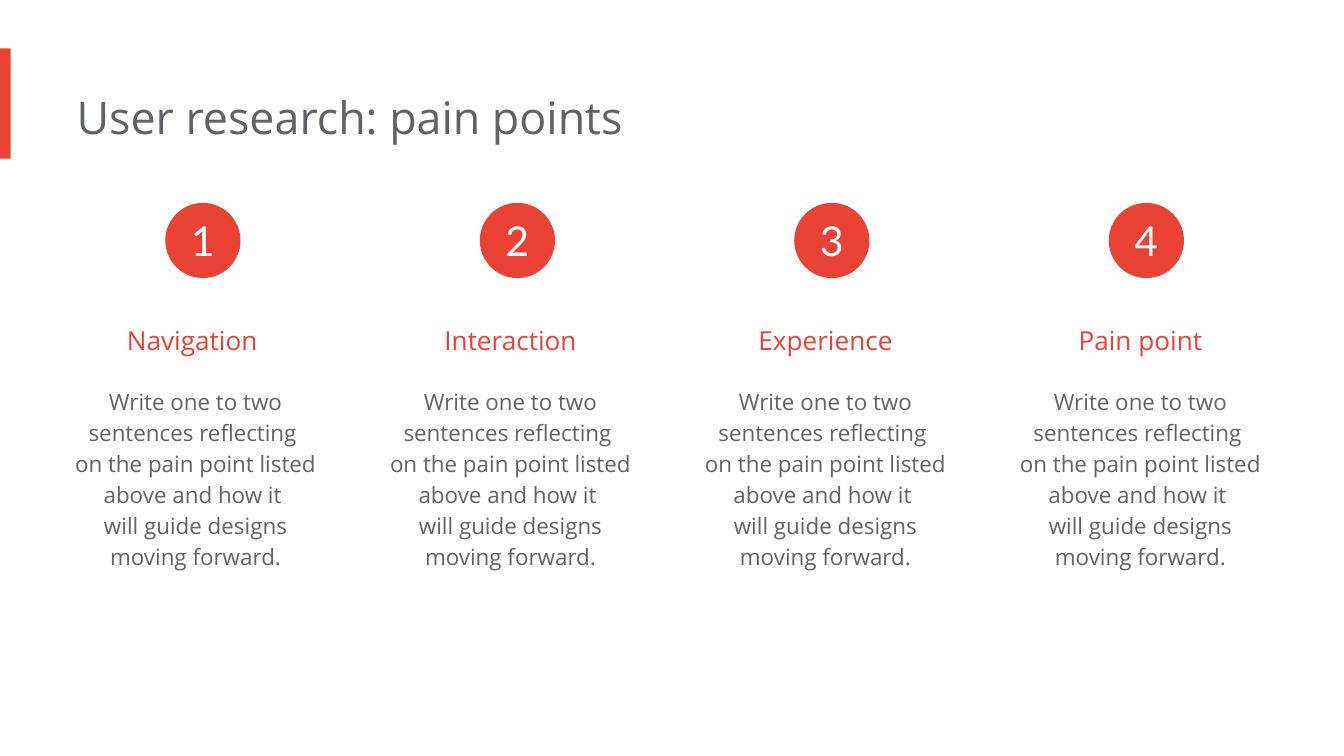
import pptx
import pptx.util
import pptx.dml.color
import pptx.enum.shapes
import pptx.enum.text

Inches = pptx.util.Inches
RED = pptx.dml.color.RGBColor(0xEA, 0x43, 0x35)
GRAY = pptx.dml.color.RGBColor(0x5F, 0x63, 0x68)
WHITE = pptx.dml.color.RGBColor(0xFF, 0xFF, 0xFF)

LEFT = pptx.enum.text.PP_ALIGN.LEFT
CENTER = pptx.enum.text.PP_ALIGN.CENTER
SHAPES = pptx.enum.shapes.MSO_SHAPE

FIRST_COLUMN = 0.48
LAST_COLUMN = 7.51
COLUMN_WIDTH = 2.05
FIRST_CIRCLE = 1.23
LAST_CIRCLE = 8.25
CIRCLE_SIZE = 0.56

PAIN_POINTS = ["Navigation ", "Interaction", "Experience", "Pain point"]
DESCRIPTION = [
    "Write one to two sentences reflecting ",
    "on the pain point listed above and how it ",
    "will guide designs moving forward.",
]


def spread(first, last, index):
    return first + index * (last - first) / (len(PAIN_POINTS) - 1)


def set_margins(frame, left, other):
    frame.margin_left = Inches(left)
    frame.margin_top = frame.margin_right = frame.margin_bottom = Inches(other)


def write_lines(paragraph, lines, size, color, font_name, alignment):
    paragraph.alignment = alignment
    for index, line in enumerate(lines):
        if index:
            paragraph.add_line_break()
        run = paragraph.add_run()
        run.text = line
        run.font.name = font_name
        run.font.size = pptx.util.Pt(size)
        run.font.color.rgb = color


def add_text(slide, box, lines, size, color, alignment=CENTER, line_spacing=1.0):
    frame = slide.shapes.add_textbox(*map(Inches, box)).text_frame
    frame.word_wrap = True
    frame.auto_size = pptx.enum.text.MSO_AUTO_SIZE.SHAPE_TO_FIT_TEXT
    set_margins(frame, 0, 0.1)
    paragraph = frame.paragraphs[0]
    paragraph.line_spacing = line_spacing
    write_lines(paragraph, lines, size, color, "Open Sans", alignment)


def add_red_shape(slide, kind, box):
    shape = slide.shapes.add_shape(kind, *map(Inches, box))
    shape.shadow.inherit = False
    shape.fill.solid()
    shape.fill.fore_color.rgb = RED
    shape.line.fill.background()
    return shape


def add_number_circle(slide, left, number):
    box = (left, 1.51, CIRCLE_SIZE, CIRCLE_SIZE)
    frame = add_red_shape(slide, SHAPES.OVAL, box).text_frame
    set_margins(frame, 0, 0)
    frame.vertical_anchor = pptx.enum.text.MSO_ANCHOR.MIDDLE
    write_lines(frame.paragraphs[0], [str(number)], 22, WHITE, "Lato", CENTER)


def add_pain_point(slide, index, name):
    left = spread(FIRST_COLUMN, LAST_COLUMN, index)
    add_text(slide, (left, 2.2, COLUMN_WIDTH, 0.56), [name], 14, RED,
             line_spacing=1.5)
    add_text(slide, (left, 2.76, COLUMN_WIDTH, 1.57), DESCRIPTION, 12, GRAY,
             line_spacing=1.15)
    add_number_circle(slide, spread(FIRST_CIRCLE, LAST_CIRCLE, index), index + 1)


def main():
    presentation = pptx.Presentation()
    presentation.slide_width = Inches(10)
    presentation.slide_height = Inches(10 * 9 / 16)
    slide = presentation.slides.add_slide(presentation.slide_layouts[6])
    add_red_shape(slide, SHAPES.RECTANGLE, (0, 0.36, 0.08, 0.82))
    add_text(slide, (0.57, 0.57, 6.73, 0.61), ["User research: pain points"],
             24, GRAY, alignment=LEFT)
    for index, name in enumerate(PAIN_POINTS):
        add_pain_point(slide, index, name)
    presentation.save("out.pptx")


if __name__ == "__main__":
    main()
